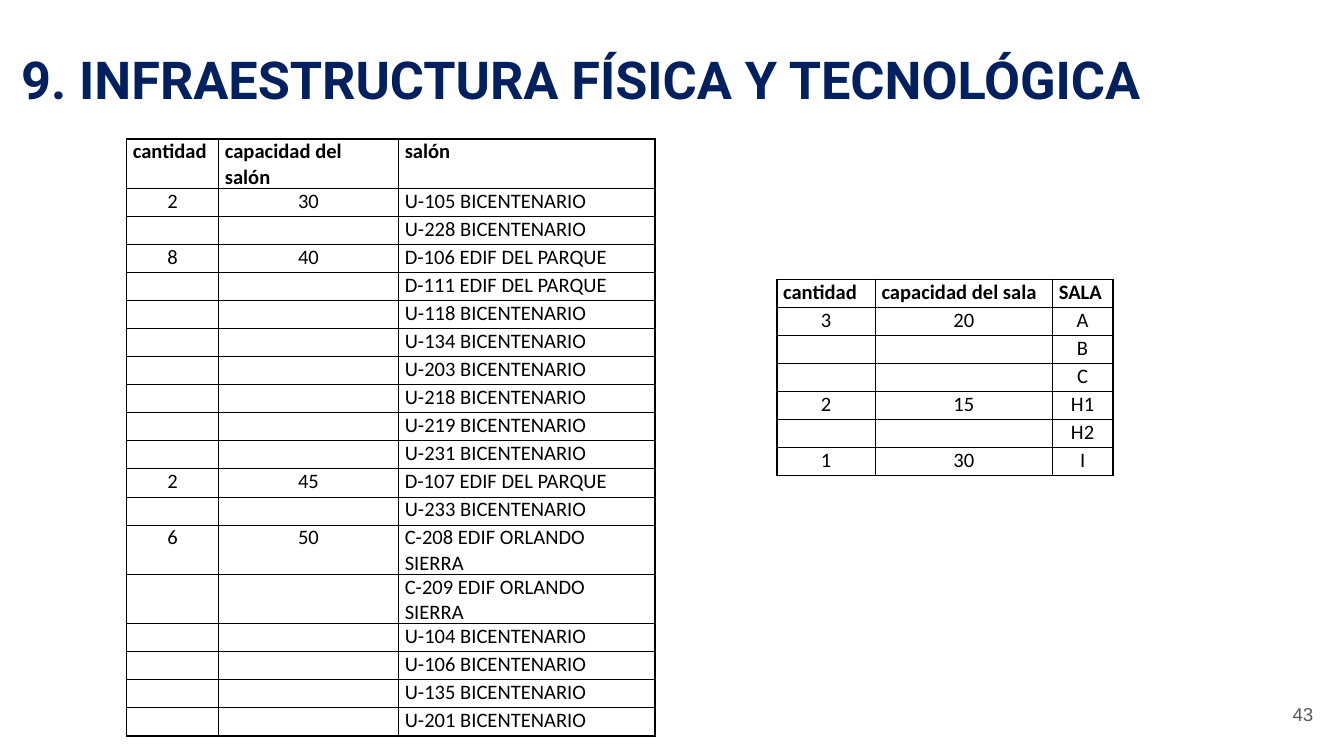
from lxml.etree import SubElement
from pptx import Presentation
from pptx.dml.color import RGBColor
from pptx.enum.text import MSO_ANCHOR, PP_ALIGN
from pptx.oxml.ns import qn
from pptx.util import Cm, Pt

NAVY = RGBColor(0x00, 0x20, 0x60)
BLACK = RGBColor(0x00, 0x00, 0x00)
GRAY = RGBColor(0x59, 0x59, 0x59)
WHITE = RGBColor(0xFF, 0xFF, 0xFF)

ROW_HEIGHT = 0.53
THIN, THICK = Pt(0.5), Pt(1)
CELL_SIZE = Pt(11)

# Each group: quantity, capacity, names of the rooms
CLASSROOMS = [
    ("2", "30", ["U-105 BICENTENARIO", "U-228 BICENTENARIO"]),
    ("8", "40", ["D-106 EDIF DEL PARQUE", "D-111 EDIF DEL PARQUE",
                 "U-118 BICENTENARIO", "U-134 BICENTENARIO",
                 "U-203 BICENTENARIO", "U-218 BICENTENARIO",
                 "U-219 BICENTENARIO", "U-231 BICENTENARIO"]),
    ("2", "45", ["D-107 EDIF DEL PARQUE", "U-233 BICENTENARIO"]),
    ("6", "50", ["C-208 EDIF ORLANDO SIERRA", "C-209 EDIF ORLANDO SIERRA",
                 "U-104 BICENTENARIO", "U-106 BICENTENARIO",
                 "U-135 BICENTENARIO", "U-201 BICENTENARIO"]),
]
COMPUTER_ROOMS = [
    ("3", "20", ["A", "B", "C"]),
    ("2", "15", ["H1", "H2"]),
    ("1", "30", ["I"]),
]


def style_font(para, name, size, color, bold=False):
    font = para.font
    font.name, font.size, font.bold = name, size, bold
    font.color.rgb = color


def add_text(page, box, text, name, size, color, bold=False):
    """Place a one-paragraph text box and return its frame."""
    frame = page.shapes.add_textbox(*map(Cm, box)).text_frame
    frame.word_wrap = True
    frame.margin_left = frame.margin_right = Cm(0.25)
    frame.margin_top = frame.margin_bottom = Cm(0.25)
    para = frame.paragraphs[0]
    para.text = text
    style_font(para, name, size, color, bold)
    return frame


def add_title(page, box):
    frame = add_text(page, box, "9. INFRAESTRUCTURA FÍSICA Y TECNOLÓGICA",
                     "Roboto", Pt(28), NAVY, bold=True)
    frame.paragraphs[0].line_spacing = 1.15


def add_page_number(page, box):
    frame = add_text(page, box, "43", "Arial", Pt(10), GRAY)
    frame.vertical_anchor = MSO_ANCHOR.MIDDLE
    frame.paragraphs[0].alignment = PP_ALIGN.RIGHT


def set_borders(cell, widths):
    """Draw the left, right, top and bottom lines, ahead of the cell fill."""
    properties = cell._tc.get_or_add_tcPr()
    for index, (side, width) in enumerate(zip("LRTB", widths)):
        line = SubElement(properties, qn(f"a:ln{side}"), w=str(int(width)))
        fill = SubElement(line, qn("a:solidFill"))
        SubElement(fill, qn("a:srgbClr"), val=str(BLACK))
        properties.insert(index, line)


def fill_cell(cell, text, bold, align):
    cell.margin_left = cell.margin_right = Cm(0.12)
    cell.margin_top = cell.margin_bottom = 0
    cell.fill.solid()
    cell.fill.fore_color.rgb = WHITE
    para = cell.text_frame.paragraphs[0]
    para.text = text
    para.alignment = align
    style_font(para, "Calibri", CELL_SIZE, BLACK, bold)
    if not text:  # keeps an empty row as low as a filled one
        SubElement(para._p, qn("a:endParaRPr"), sz=str(int(CELL_SIZE.pt * 100)))


def add_room_table(page, left, top, widths, header, groups, name_align):
    rows = [header]
    for quantity, capacity, names in groups:
        rows += [(quantity, capacity, names[0])]
        rows += [("", "", name) for name in names[1:]]

    table = page.shapes.add_table(
        len(rows), len(widths), Cm(left), Cm(top),
        Cm(sum(widths)), Cm(ROW_HEIGHT * len(rows))).table
    table.first_row = table.horz_banding = False
    for column, width in zip(table.columns, widths):
        column.width = Cm(width)

    last_row, last_column = len(rows) - 1, len(widths) - 1
    for r, row in enumerate(rows):
        table.rows[r].height = Cm(ROW_HEIGHT)
        for c, text in enumerate(row):
            if r == 0:
                align = PP_ALIGN.LEFT
            else:
                align = name_align if c == last_column else PP_ALIGN.CENTER
            cell = table.cell(r, c)
            fill_cell(cell, text, r == 0, align)
            # Outer edges are thicker than the inner grid
            outer = (c == 0, c == last_column, r == 0, r == last_row)
            set_borders(cell, [THICK if edge else THIN for edge in outer])


def main():
    deck = Presentation()
    deck.slide_width, deck.slide_height = Cm(25.4), Cm(14.29)
    page = deck.slides.add_slide(deck.slide_layouts[6])

    add_title(page, (0.15, 0.46, 23.32, 2.21))
    add_room_table(page, 2.39, 2.63, (1.74, 3.4, 4.85),
                   ("cantidad", "capacidad del salón", "salón"),
                   CLASSROOMS, PP_ALIGN.LEFT)
    add_room_table(page, 14.68, 5.28, (1.86, 3.35, 1.14),
                   ("cantidad", "capacidad del sala", "SALA"),
                   COMPUTER_ROOMS, PP_ALIGN.CENTER)
    add_page_number(page, (23.55, 12.95, 1.52, 1.09))

    deck.save("out.pptx")


if __name__ == "__main__":
    main()
